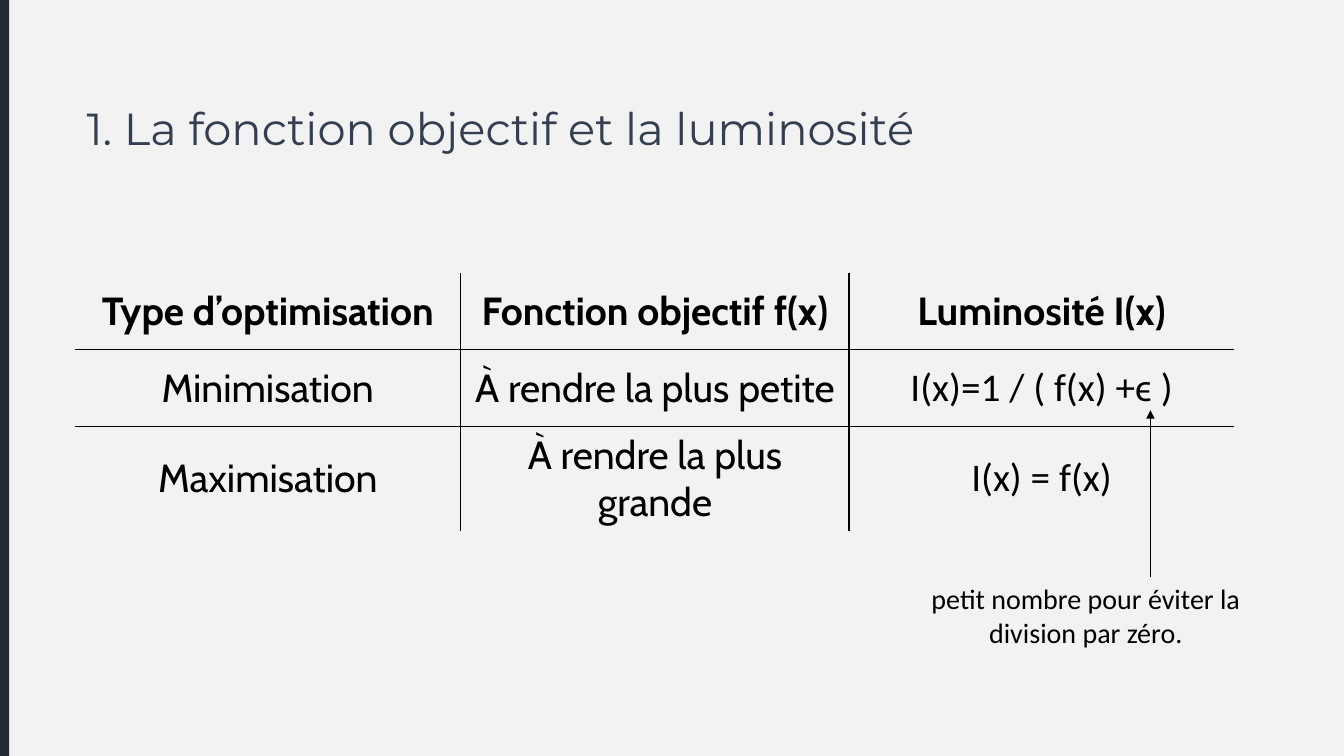
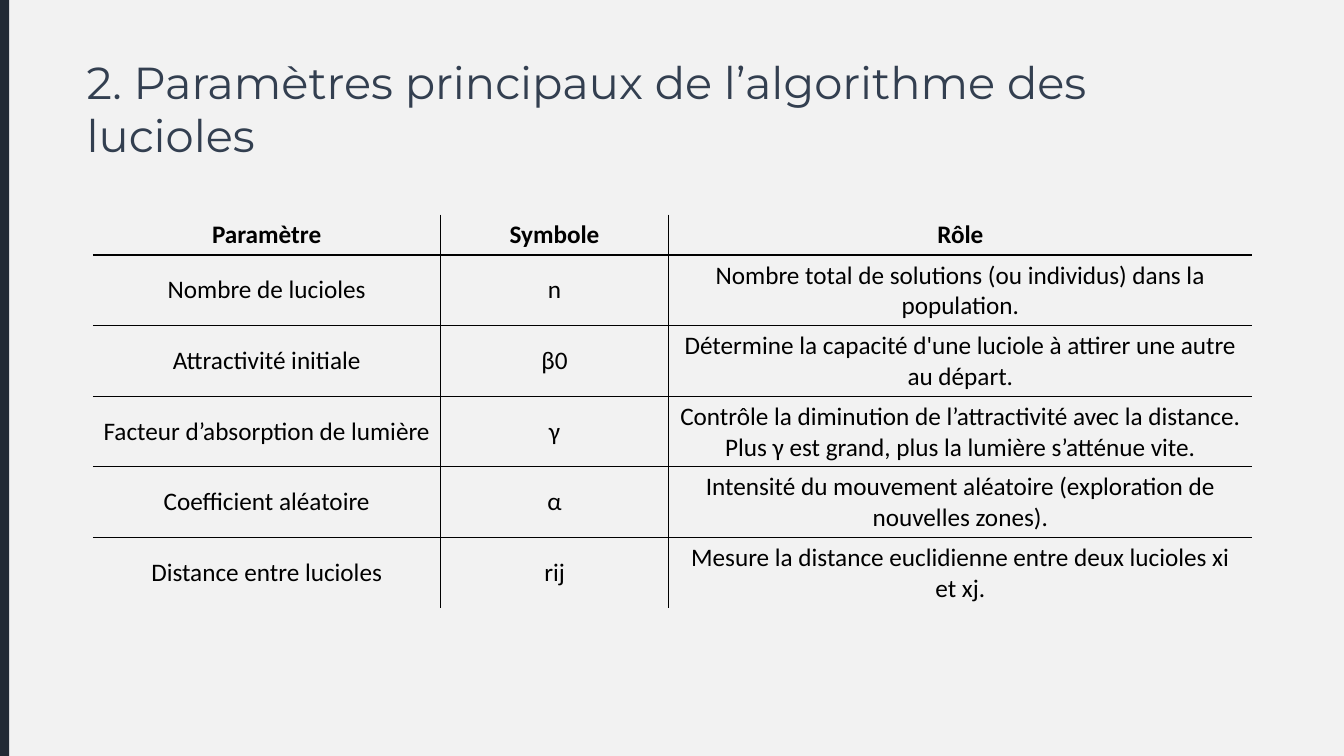
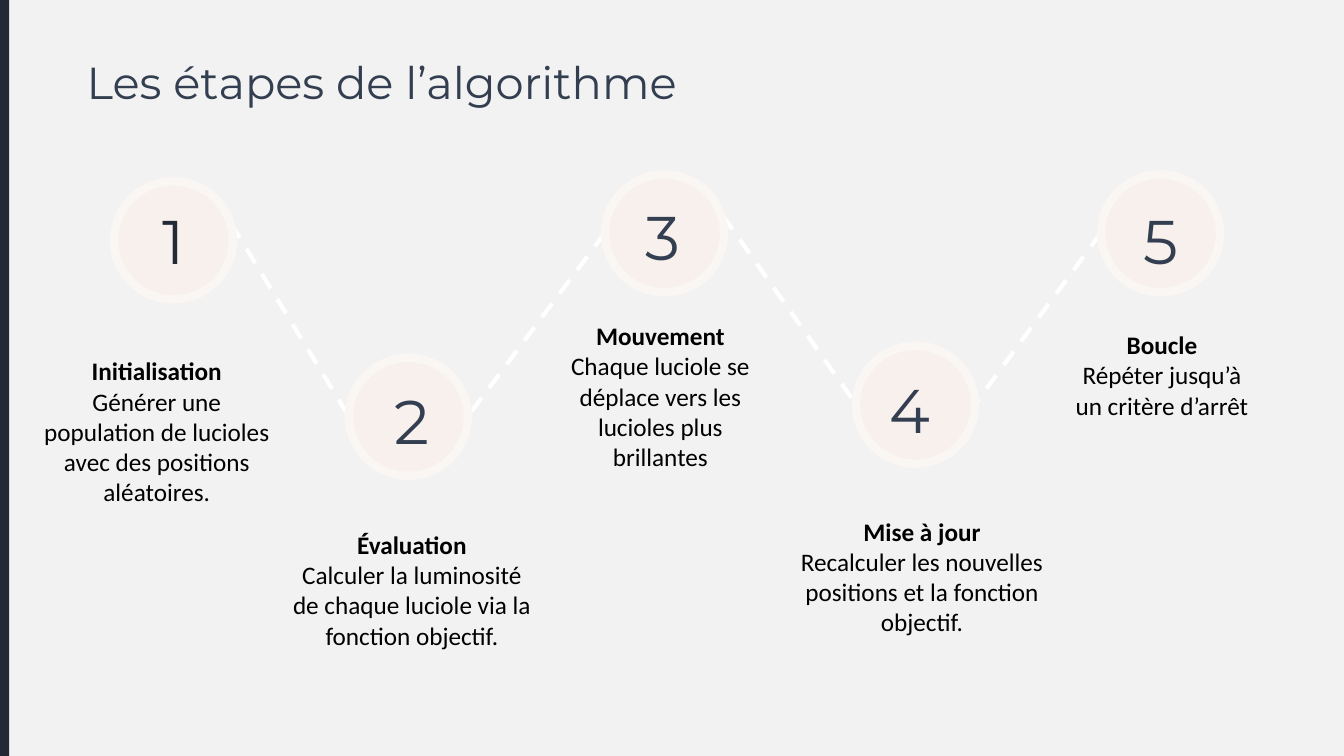
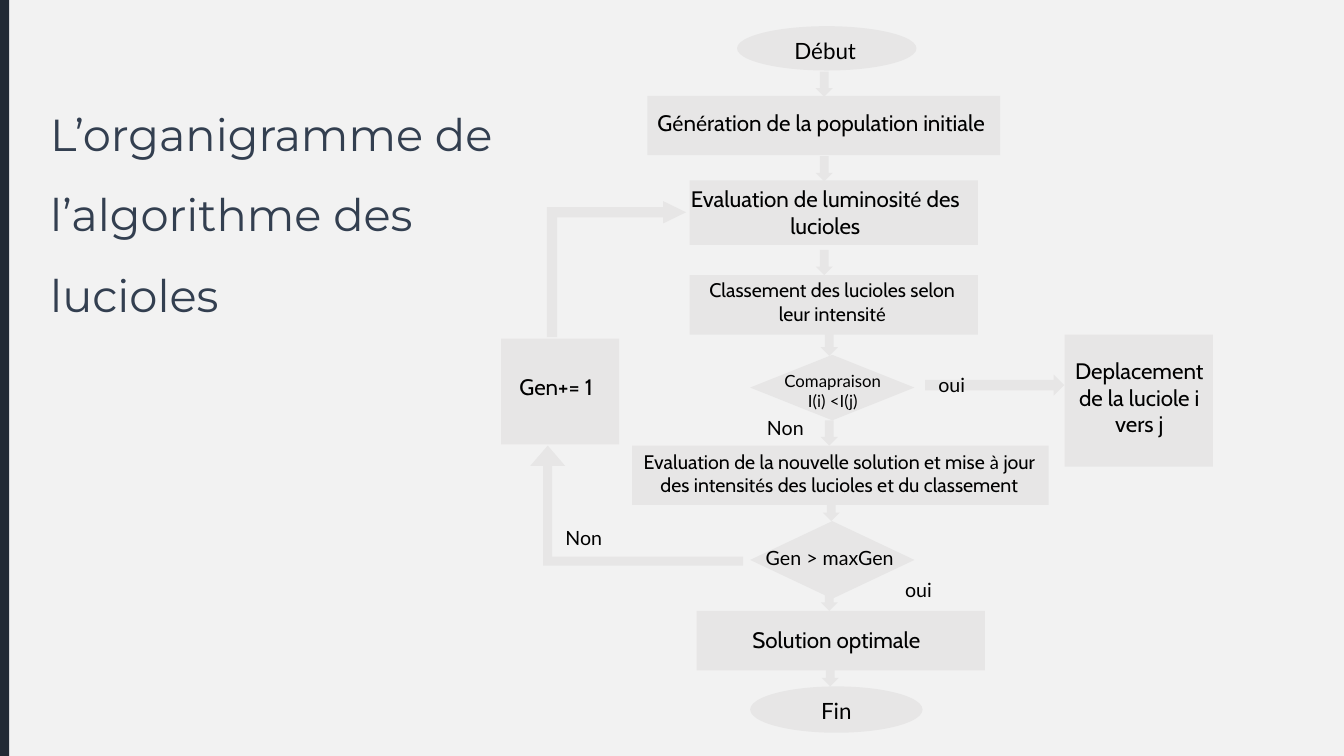
import itertools

import pptx
import pptx.dml.color
import pptx.enum.dml
import pptx.enum.shapes
import pptx.enum.text
import pptx.oxml
import pptx.oxml.ns
import pptx.util

Inches = pptx.util.Inches
Pt = pptx.util.Pt
RGBColor = pptx.dml.color.RGBColor
SHAPES = pptx.enum.shapes.MSO_SHAPE
ALIGN = pptx.enum.text.PP_ALIGN
qn = pptx.oxml.ns.qn

BACKGROUND = RGBColor(0xF2, 0xF2, 0xF2)
DARK = RGBColor(0x22, 0x2A, 0x35)
SLATE = RGBColor(0x33, 0x3F, 0x50)
BLACK = RGBColor(0, 0, 0)
WHITE = RGBColor(0xFF, 0xFF, 0xFF)
BOX_GREY = RGBColor(0xE7, 0xE6, 0xE6)
CIRCLE_FILL = RGBColor(0xF7, 0xF0, 0xED)
CIRCLE_RING = RGBColor(0xFA, 0xF6, 0xF4)

TITLE = {"name": "Montserrat", "size": Pt(32)}
NUMBER = {"name": "Montserrat", "size": Pt(44)}
BODY = {"name": "Calibri", "size": Pt(18)}
NOTE = {"name": "Calibri", "size": Pt(20)}
TABLE_LARGE = {"name": "Cabin", "size": Pt(28)}


def apply_font(font, style, color=BLACK):
    for key, value in style.items():
        setattr(font, key, value)
    font.color.rgb = color


def accent_runs(text, style):
    """Split text so that accented letters in Cabin are set in Calibri."""
    if style["name"] != "Cabin":
        return [(text, style)]
    groups = itertools.groupby(text, key=lambda letter: letter in "éà")
    return [("".join(letters), {**style, "name": "Calibri"} if accented else style)
            for accented, letters in groups]


class Deck:
    def __init__(self):
        self.prs = pptx.Presentation()
        self.prs.slide_width, self.prs.slide_height = Inches(13.33), Inches(7.5)
        self.slide = None

    def new_slide(self, title, top, left=0.76, width=10.65, height=0.64, spacing=None):
        self.slide = self.prs.slides.add_slide(self.prs.slide_layouts[6])
        background = self.slide.background.fill
        background.solid()
        background.fore_color.rgb = BACKGROUND
        self.shape(SHAPES.RECTANGLE, (0, 0, 0.09, 7.5), DARK)
        self.text((left, top, width, height), [[(title, TITLE)]], SLATE, ALIGN.LEFT, spacing)

    def shape(self, kind, box, fill, ring=None, rotation=0, flip=False, adjustments=()):
        shape = self.slide.shapes.add_shape(kind, *map(Inches, box))
        shape.shadow.inherit = False
        shape.fill.solid()
        shape.fill.fore_color.rgb = fill
        if ring is None:
            shape.line.fill.background()
        else:
            shape.line.color.rgb = ring
            shape.line.width = Pt(6)
        shape.rotation = rotation
        for index, value in enumerate(adjustments):
            shape.adjustments[index] = value
        if flip:
            shape._element.spPr.find(qn("a:xfrm")).set("flipH", "1")

    def text(self, box, paragraphs, color=BLACK, align=ALIGN.CENTER, spacing=None):
        """Add a text box; each paragraph is a list of (text, style) runs."""
        frame = self.slide.shapes.add_textbox(*map(Inches, box)).text_frame
        frame.word_wrap = True
        for index, runs in enumerate(paragraphs):
            paragraph = frame.add_paragraph() if index else frame.paragraphs[0]
            paragraph.alignment = align
            if spacing:
                paragraph.line_spacing = spacing
            for words, style in runs:
                run = paragraph.add_run()
                run.text = words
                apply_font(run.font, style, color)

    def line(self, start, end, color, width, dashed=False, arrow=False):
        connector = self.slide.shapes.add_connector(
            pptx.enum.shapes.MSO_CONNECTOR.STRAIGHT, *map(Inches, start + end))
        connector.line.color.rgb = color
        connector.line.width = Pt(width)
        if dashed:
            connector.line.dash_style = pptx.enum.dml.MSO_LINE.DASH
        properties = connector._element.spPr
        if arrow:
            tail = pptx.oxml.parse_xml(f'<a:tailEnd {pptx.oxml.ns.nsdecls("a")} type="triangle"/>')
            properties.find(qn("a:ln")).append(tail)
        properties.append(pptx.oxml.parse_xml(f'<a:effectLst {pptx.oxml.ns.nsdecls("a")}/>'))

    def table(self, left, top, widths, heights, rows, style, overrides=None):
        """Add a table ruled only between cells; overrides maps (row, column) to a style."""
        box = map(Inches, (left, top, sum(widths), sum(heights)))
        table = self.slide.shapes.add_table(len(rows), len(widths), *box).table
        table.first_row = table.horz_banding = False
        for column, width in zip(table.columns, widths):
            column.width = Inches(width)
        for row, height in zip(table.rows, heights):
            row.height = Inches(height)
        last_row, last_column = len(rows) - 1, len(widths) - 1
        for r, c in itertools.product(range(len(rows)), range(len(widths))):
            cell = table.cell(r, c)
            cell.text = rows[r][c]
            cell.vertical_anchor = pptx.enum.text.MSO_ANCHOR.MIDDLE
            paragraph = cell.text_frame.paragraphs[0]
            paragraph.alignment = ALIGN.CENTER
            cell_style = {**style, **(overrides or {}).get((r, c), {}), "bold": r == 0}
            apply_font(paragraph.runs[0].font, cell_style)
            cell.fill.background()
            self.cell_borders(cell, L=c > 0, R=c < last_column, T=r > 0, B=r < last_row)

    @staticmethod
    def cell_borders(cell, **sides):
        properties = cell._tc.get_or_add_tcPr()
        for index, (side, ruled) in enumerate(sides.items()):
            paint = f'<a:solidFill><a:srgbClr val="{BLACK}"/></a:solidFill>' if ruled else "<a:noFill/>"
            properties.insert(index, pptx.oxml.parse_xml(
                f'<a:ln{side} {pptx.oxml.ns.nsdecls("a")} w="{Pt(1)}">{paint}</a:ln{side}>'))


def brightness_slide(deck):
    deck.new_slide("1. La fonction objectif et la luminosité", 0.95)
    rows = [
        ("Type d’optimisation", "Fonction objectif f(x)", "Luminosité I(x)"),
        ("Minimisation", "À rendre la plus petite", "I(x)=1 / ( f(x) +ϵ )"),
        ("Maximisation", "À rendre la plus grande", "I(x) = f(x)"),
    ]
    formula = {"name": "Calibri"}
    deck.table(0.74, 2.71, (3.83, 3.85, 3.82), [0.76] * 3, rows, TABLE_LARGE,
               {(1, 2): formula, (2, 2): formula})
    deck.line((11.41, 5.72), (11.41, 4.07), BLACK, 0.5, arrow=True)
    deck.text((9.05, 5.72, 3.44, 0.77), [[("petit nombre pour éviter la division par zéro.", NOTE)]])


def parameters_slide(deck):
    deck.new_slide("2. Paramètres principaux de l’algorithme des lucioles", 0.49, height=1.18)
    rows = [
        ("Paramètre", "Symbole", "Rôle"),
        ("Nombre de lucioles", "n",
         "Nombre total de solutions (ou individus) dans la population."),
        ("Attractivité initiale", "β0",
         "Détermine la capacité d'une luciole à attirer une autre au départ."),
        ("Facteur d’absorption de lumière", "γ",
         "Contrôle la diminution de l’attractivité avec la distance. "
         "Plus γ est grand, plus la lumière s’atténue vite."),
        ("Coefficient aléatoire", "α",
         "Intensité du mouvement aléatoire (exploration de nouvelles zones)."),
        ("Distance entre lucioles", "rij",
         "Mesure la distance euclidienne entre deux lucioles xi et xj."),
    ]
    deck.table(0.92, 2.13, (3.45, 2.26, 5.79), [0.4] + [0.7] * 5, rows, BODY)


def steps_slide(deck):
    deck.new_slide("Les étapes de l’algorithme", 0.49)
    links = [
        ((2.14, 1.97), (3.46, 4.13)),
        ((6, 2.31), (4.64, 4.13)),
        ((7, 1.9), (8.49, 4.01)),
        ((10.92, 2.31), (9.67, 4.01)),
    ]
    for start, end in links:
        deck.line(start, end, WHITE, 3, dashed=True)
    # circle corner, number corner, description box, heading, description
    steps = [
        ((1.13, 1.8), (0.55, 1.96), (0.26, 3.48, 2.59, 1.62), "Initialisation",
         "Générer une population de lucioles avec des positions aléatoires."),
        ((3.46, 3.55), (2.91, 3.75), (2.79, 5.2, 2.59, 1.31), "Évaluation",
         "Calculer la luminosité de chaque luciole via la fonction objectif."),
        ((6, 1.73), (5.4, 1.92), (5.45, 3.13, 2.2, 1.6), "Mouvement",
         "Chaque luciole se déplace vers les lucioles plus brillantes"),
        ((8.49, 3.43), (7.85, 3.64), (7.68, 5.07, 2.93, 1.31), "Mise à jour",
         "Recalculer les nouvelles positions et la fonction objectif."),
        ((10.92, 1.73), (10.34, 1.96), (10.51, 3.22, 2.03, 1.01), "Boucle",
         "Répéter jusqu’à un critère d’arrêt"),
    ]
    for number, (circle, digit, box, heading, description) in enumerate(steps, 1):
        deck.shape(SHAPES.OVAL, circle + (1.18, 1.17), CIRCLE_FILL, CIRCLE_RING)
        deck.text(digit + (2.35, 0.84), [[(str(number), NUMBER)]], DARK if number == 1 else SLATE)
        deck.text(box, [[(heading, {**BODY, "bold": True})], [(description, BODY)]])


def flowchart_slide(deck):
    deck.new_slide("L’organigramme de l’algorithme des lucioles", 0.74, 0.4, 4.8, 2.44, spacing=1.5)
    nodes = {
        SHAPES.OVAL: [(7.31, 0.26, 1.78, 0.44), (7.44, 6.81, 1.71, 0.46)],
        SHAPES.RECTANGLE: [
            (6.42, 0.95, 3.5, 0.59), (6.84, 1.79, 2.86, 0.64), (6.84, 2.73, 2.86, 0.59),
            (6.27, 4.42, 4.13, 0.59), (4.97, 3.36, 1.17, 1.05), (10.56, 3.32, 1.47, 1.31),
            (6.91, 6.06, 2.86, 0.59)],
        SHAPES.DIAMOND: [(7.44, 3.52, 1.63, 0.65), (7.44, 5.17, 1.63, 0.77)],
    }
    for kind, boxes in nodes.items():
        for box in boxes:
            deck.shape(kind, box, BOX_GREY)

    down_arrows = [(8.09, 0.71), (8.09, 1.55), (8.09, 2.48), (8.14, 3.28),
                   (8.14, 4.17), (8.16, 4.92), (8.14, 5.81), (8.15, 6.56)]
    for corner in down_arrows:
        deck.shape(SHAPES.DOWN_ARROW, corner + (0.17, 0.25), BOX_GREY)
    deck.shape(SHAPES.BENT_UP_ARROW, (5.26, 4.42, 2.11, 1.19), BOX_GREY, flip=True,
               adjustments=(0.075, 0.145, 0.169))
    deck.shape(SHAPES.BENT_UP_ARROW, (5.44, 1.98, 1.35, 1.38), BOX_GREY, rotation=90, flip=True,
               adjustments=(0.075, 0.082, 0.169))
    deck.shape(SHAPES.DOWN_ARROW, (9.76, 3.13, 0.21, 1.38), BOX_GREY, rotation=270)

    labels = [
        ((7.46, 0.32, 1.45, 0.37), "Début", "Lato", 16),
        ((6.32, 1.03, 3.65, 0.75), "Génération de la population initiale", "Cabin", 16),
        ((6.63, 1.79, 3.11, 0.75), "Evaluation de luminosité des lucioles", "Cabin", 16),
        ((6.81, 2.71, 2.89, 0.75), "Classement des lucioles selon leur intensité", "Cabin", 14),
        ((7.61, 3.63, 1.3, 0.69), "Comapraison I(i) <I(j)", "Lato", 12),
        ((10.52, 3.49, 1.56, 1.12), "Deplacement de la luciole i vers j", "Cabin", 16),
        ((8.79, 3.65, 1.3, 0.69), "oui", "Lato", 14),
        ((7.14, 4.08, 1.3, 0.69), "Non", "Lato", 14),
        ((6.21, 4.41, 4.23, 0.69),
         "Evaluation de la nouvelle solution et mise à jour des intensités des lucioles "
         "et du classement", "Cabin", 14),
        ((7.43, 5.37, 1.6, 0.47), "Gen > maxGen", "Lato", 14),
        ((8.46, 5.68, 1.3, 0.69), "oui", "Lato", 14),
        ((5.14, 5.17, 1.3, 0.69), "Non", "Lato", 14),
        ((4.22, 3.65, 2.59, 0.69), "Gen+= 1", "Cabin", 16),
        ((7, 6.16, 2.59, 0.69), "Solution optimale", "Cabin", 16),
        ((7, 6.87, 2.59, 0.69), "Fin", "Lato", 16),
    ]
    for box, label, font_name, size in labels:
        deck.text(box, [accent_runs(label, {"name": font_name, "size": Pt(size)})])


def main():
    deck = Deck()
    for build in (brightness_slide, parameters_slide, steps_slide, flowchart_slide):
        build(deck)
    deck.prs.save("out.pptx")


if __name__ == "__main__":
    main()
